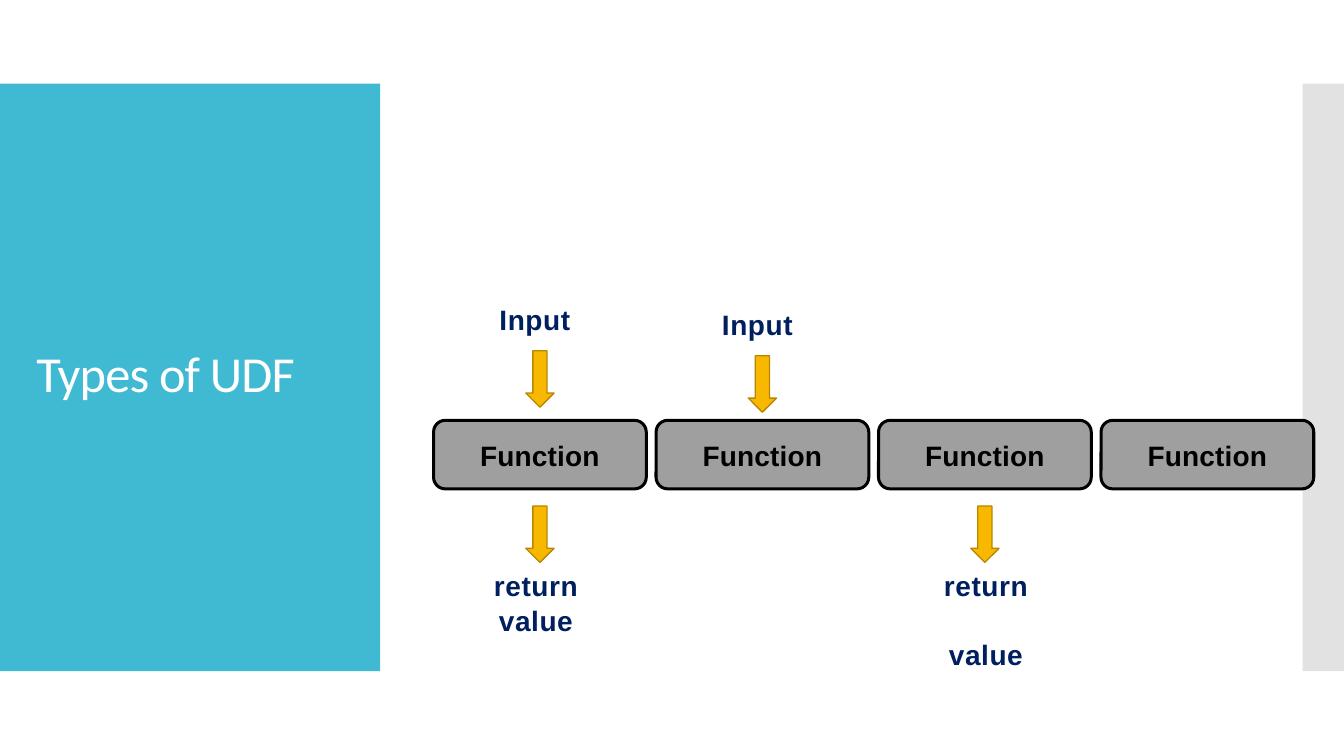
from pptx import Presentation
from pptx.dml.color import RGBColor
from pptx.enum.shapes import MSO_SHAPE as Shape
from pptx.enum.text import MSO_ANCHOR as Anchor, MSO_AUTO_SIZE as AutoSize, PP_ALIGN as Align
from pptx.oxml.ns import qn
from pptx.util import Inches, Pt
from lxml.etree import SubElement

WHITE = RGBColor(0xFF, 0xFF, 0xFF)
BLACK = RGBColor(0x00, 0x00, 0x00)
TEAL = RGBColor(0x40, 0xB9, 0xD2)
SILVER = RGBColor(0xC7, 0xC7, 0xC7)
GRAY = RGBColor(0x9F, 0x9F, 0x9F)
AMBER = RGBColor(0xF9, 0xB8, 0x00)
DARK_AMBER = RGBColor(0xB8, 0x86, 0x00)
NAVY = RGBColor(0x00, 0x1F, 0x5F)

BOX_WIDTH, BOX_HEIGHT = 2.11, 0.68
ARROW_WIDTH, ARROW_HEIGHT = 0.28, 0.56


def add_span(para, text, size, color, font="Arial", bold=True, spacing=0.0):
    span = para.add_run()
    span.text = text
    span.font.name = font
    span.font.size = Pt(size)
    span.font.bold = bold
    span.font.color.rgb = color
    span.font._element.set("spc", str(round(spacing * 100)))


def set_frame(frame, anchor=Anchor.TOP, wrap=False):
    frame.auto_size = AutoSize.NONE
    frame.word_wrap = wrap
    frame.vertical_anchor = anchor
    frame.margin_left = frame.margin_right = frame.margin_bottom = 0
    frame.margin_top = Inches(0.02)


def add_filled(page, kind, left, top, width, height, fill, line=None, weight=1):
    shape = page.shapes.add_shape(
        kind, Inches(left), Inches(top), Inches(width), Inches(height))
    shape.shadow.inherit = False
    shape.fill.solid()
    shape.fill.fore_color.rgb = fill
    if line is None:
        shape.line.fill.background()
    else:
        shape.line.color.rgb = line
        shape.line.width = Pt(weight)
    return shape


def add_side_panels(page, top, height):
    add_filled(page, Shape.RECTANGLE, 0, top, 3.77, height, TEAL)
    strip = add_filled(page, Shape.RECTANGLE, 12.92, top, 0.41, height, SILVER)
    color = strip.fill._xPr.find(qn("a:solidFill"))[0]
    SubElement(color, qn("a:alpha")).set("val", "50000")


def add_title(page, left, top, width, height):
    title = page.shapes.title
    title.left, title.top = Inches(left), Inches(top)
    title.width, title.height = Inches(width), Inches(height)
    set_frame(title.text_frame)
    para = title.text_frame.paragraphs[0]
    para.alignment = Align.LEFT
    add_span(para, "Types of UDF", 36, WHITE, "Calibri", False, -0.6)
    page.shapes._spTree.append(title._element)


def add_label(page, left, top, width, height, lines, gap=0.0):
    label = page.shapes.add_textbox(
        Inches(left), Inches(top), Inches(width), Inches(height))
    frame = label.text_frame
    set_frame(frame, wrap=True)
    for index, text in enumerate(lines):
        para = frame.paragraphs[0] if index == 0 else frame.add_paragraph()
        para.alignment = Align.CENTER
        if index:
            para.space_before = Pt(gap)
        add_span(para, text, 20, NAVY, spacing=0.4)


def add_arrow(page, left, top):
    add_filled(page, Shape.DOWN_ARROW, left + (BOX_WIDTH - ARROW_WIDTH) / 2, top,
               ARROW_WIDTH, ARROW_HEIGHT, AMBER, DARK_AMBER, 0.96)


def add_function(page, left, top, input_drop=None, return_shift=None, return_gap=0):
    box = add_filled(page, Shape.ROUNDED_RECTANGLE, left, top,
                     BOX_WIDTH, BOX_HEIGHT, GRAY, BLACK, 2.16)
    box.adjustments[0] = 0.17
    set_frame(box.text_frame, Anchor.MIDDLE)
    para = box.text_frame.paragraphs[0]
    para.alignment = Align.CENTER
    add_span(para, "Function", 20, BLACK, spacing=0.1)
    if input_drop is not None:
        add_label(page, left + 0.59, top - 1.19 + input_drop, 0.83, 0.36, ["Input"])
        add_arrow(page, left, top - 0.69 + input_drop)
    if return_shift is not None:
        add_label(page, left + 0.54 + return_shift, top + 1.45, 0.95,
                  0.69 + return_gap / 72, ["return", "value"], return_gap)
        add_arrow(page, left, top + 0.85)


def add_function_row(page, left, top, width):
    kinds = [
        {"input_drop": 0, "return_shift": 0},
        {"input_drop": 0.05},
        {"return_shift": 0.05, "return_gap": 25},
        {},
    ]
    kinds[0]["return_gap"] = 1.3
    pitch = (width - BOX_WIDTH) / (len(kinds) - 1)
    for index, kind in enumerate(kinds):
        add_function(page, left + index * pitch, top, **kind)


def main():
    deck = Presentation()
    deck.slide_width, deck.slide_height = Inches(13.33), Inches(7.5)
    page = deck.slides.add_slide(deck.slide_layouts[5])
    add_side_panels(page, 0.83, 5.83)
    add_title(page, 0.36, 3.37, 2.67, 0.63)
    add_function_row(page, 4.3, 4.17, 8.73)
    deck.save("out.pptx")


if __name__ == "__main__":
    main()
